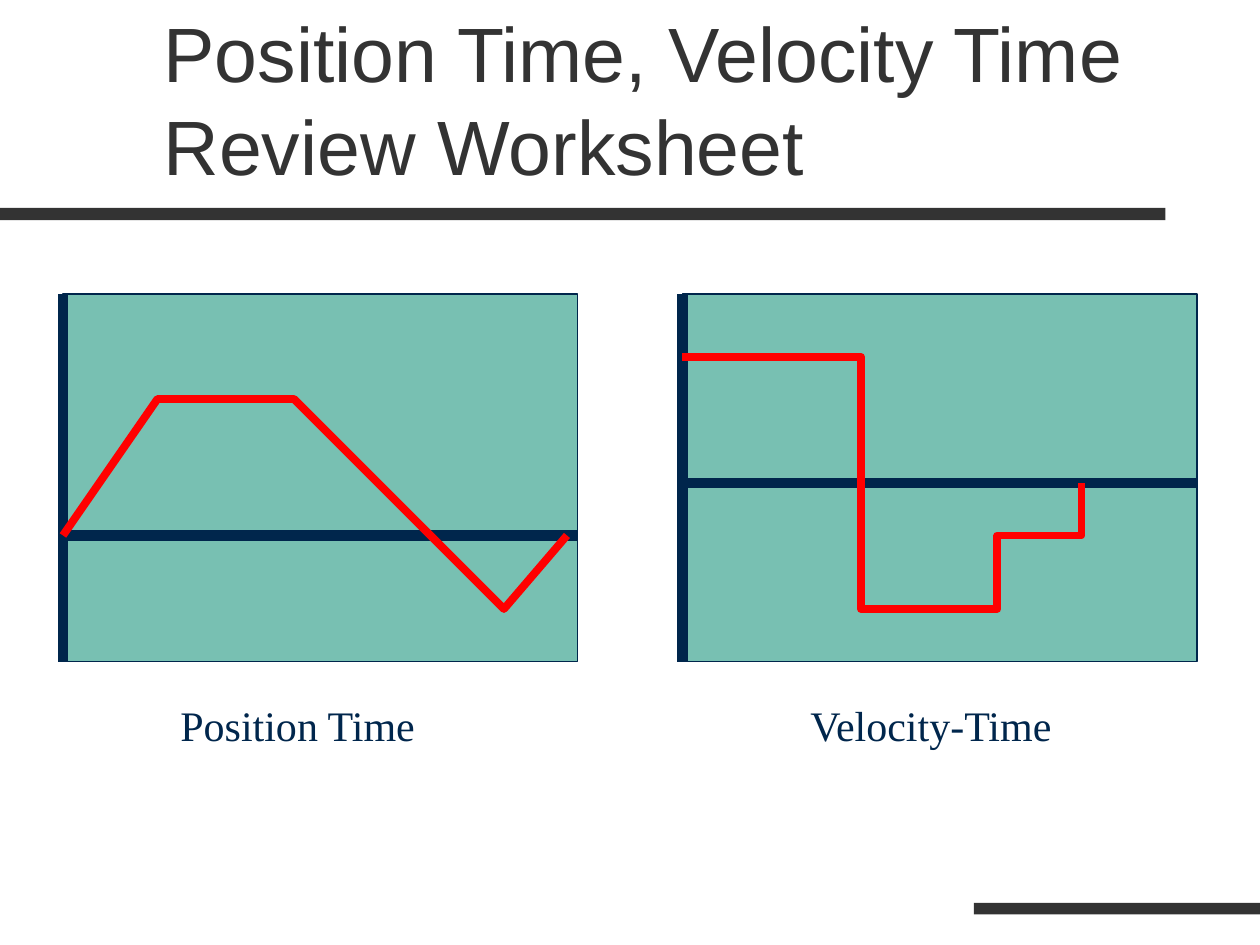
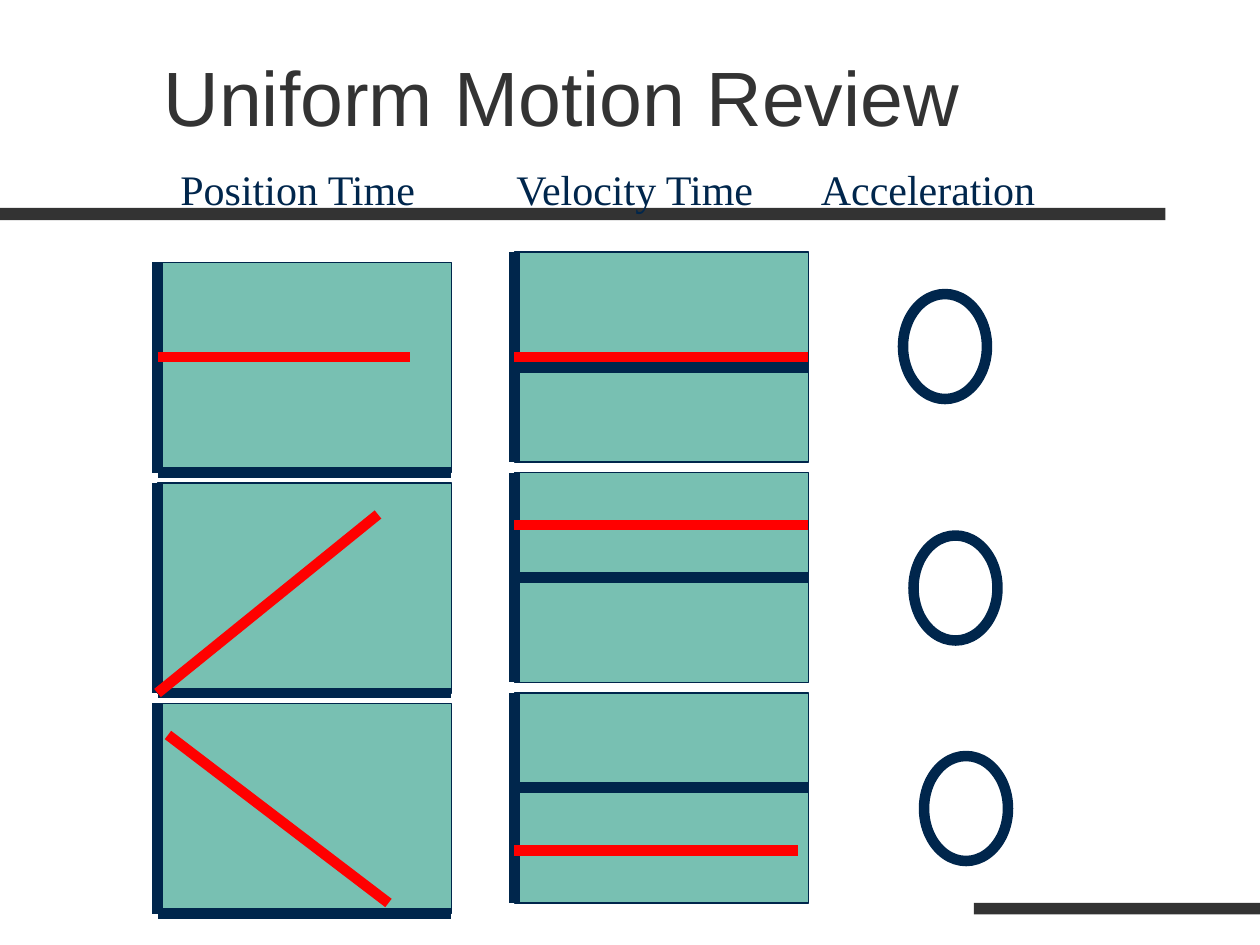
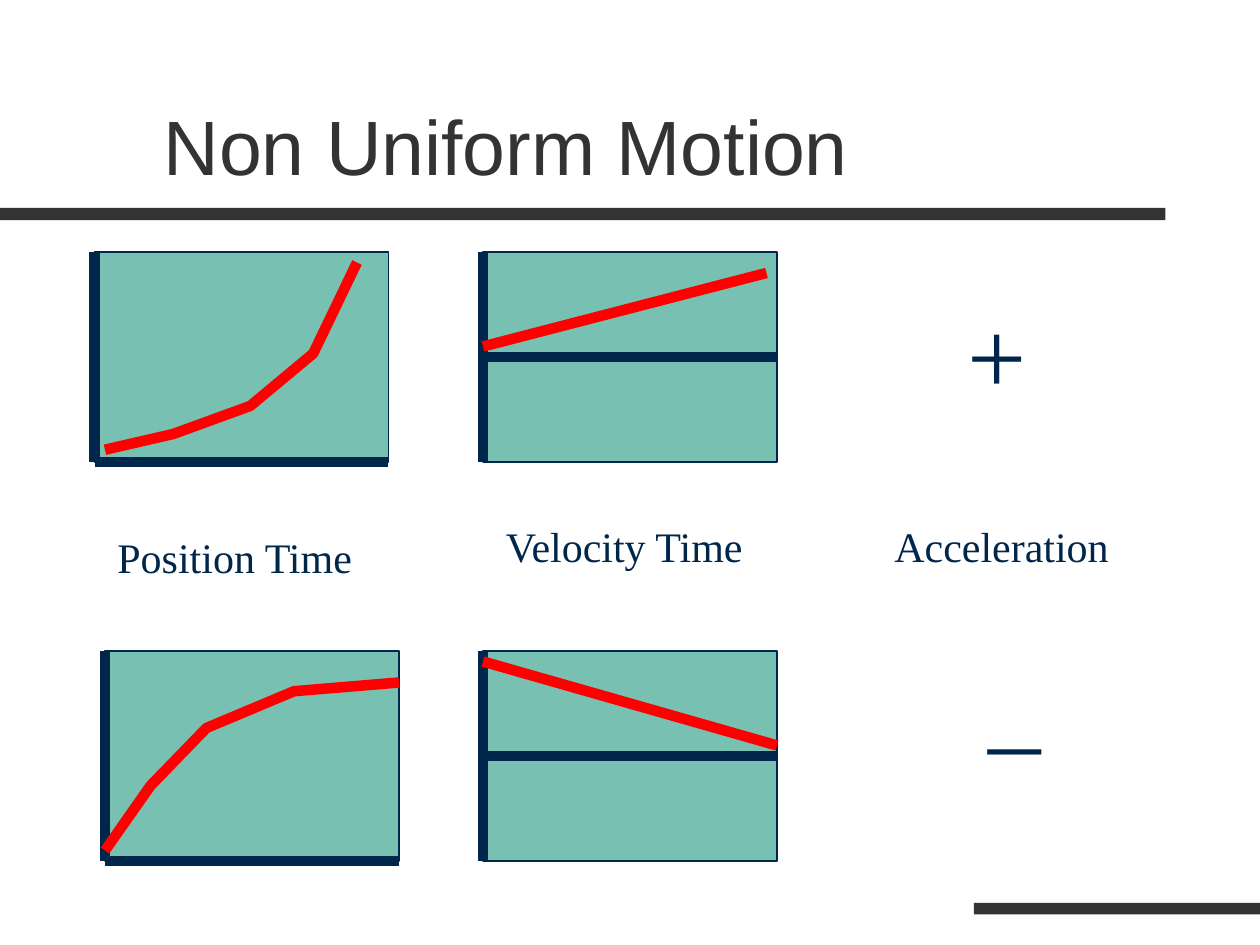
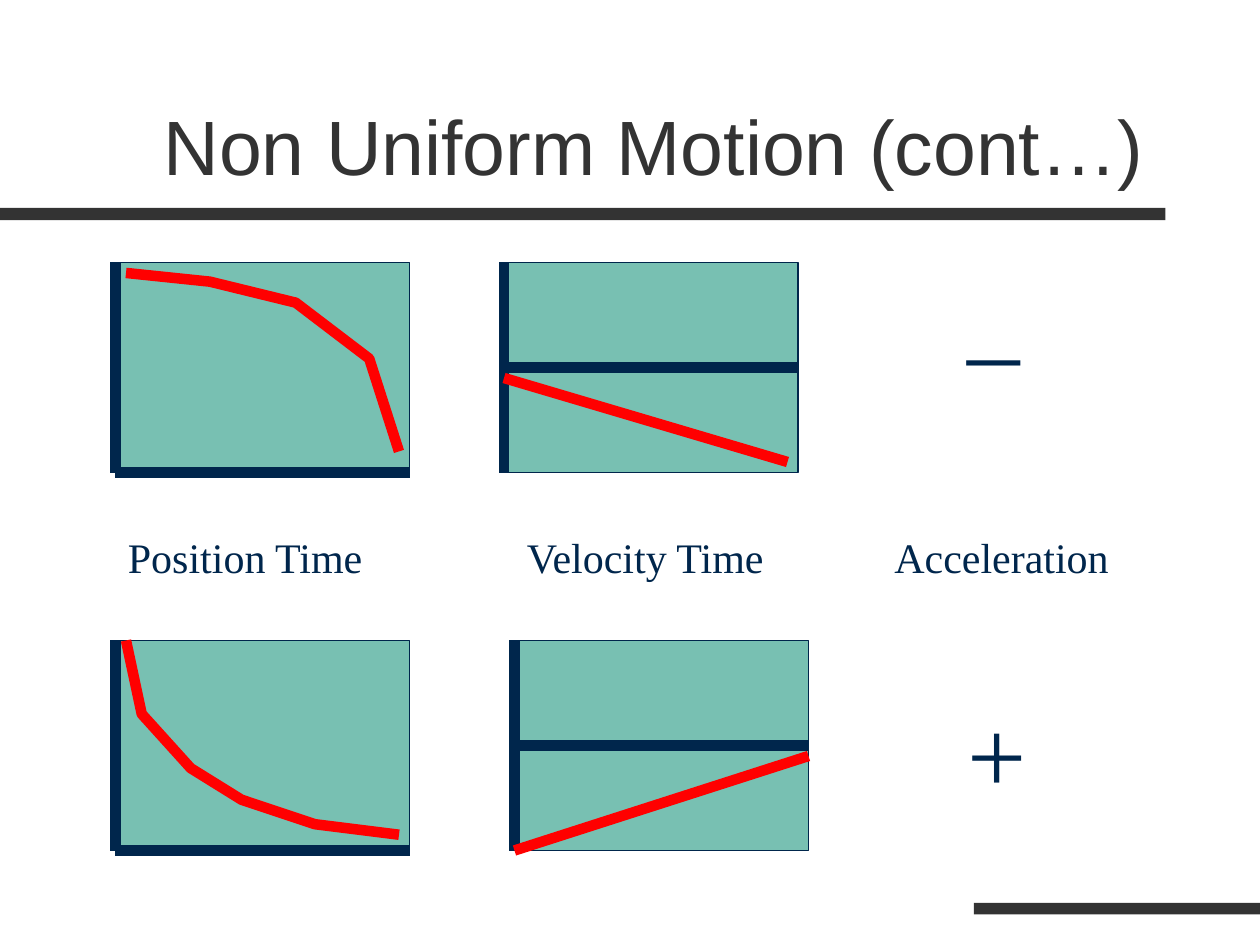
from lxml.etree import SubElement
from pptx import Presentation
from pptx.dml.color import RGBColor
from pptx.enum.shapes import MSO_CONNECTOR, MSO_SHAPE
from pptx.enum.text import MSO_ANCHOR
from pptx.oxml.ns import qn
from pptx.util import Pt

COLORS = {"band": "333333", "title": "333333", "ink": "00264C",
          "plot": "78C0B2", "curve": "FF0000"}
TITLE_FONT, LABEL_FONT = "Arial", "Times New Roman"
BANDS = [(0, 118.8, 666, 7), (556.5, 516, 163.5, 6.5)]
AXIS_WIDTH = 6
SMALL, LARGE = (168, 120), (294, 210)
ZERO_SIZE = (48, 60)
POSITION, VELOCITY, ACCELERATION = "Position Time", "Velocity Time", "Acceleration"

# graph: (left, top), height of the time axis below the top, curve points from the top left
# label: text, left, top, width; sign: text, left, top; zero: left, top
SLIDES = [
    {
        "title": "Position Time, Velocity Time Review Worksheet",
        "graph_size": LARGE,
        "curve_width": 4.5,
        "graphs": [
            ((36, 168), 138, [(0, 138), (54, 60), (132, 60), (252, 180), (288, 138)]),
            ((390, 168), 108, [(0, 36), (102, 36), (102, 180), (180, 180),
                               (180, 138), (228, 138), (228, 108)]),
        ],
        "labels": [(POSITION, 96, 396, 150), ("Velocity-Time", 456, 396, 162)],
    },
    {
        "title": "Uniform Motion Review",
        "title_height": 62,
        "graphs": [
            ((294, 144), 66, [(0, 60), (168, 60)]),
            ((294, 270), 60, [(0, 30), (168, 30)]),
            ((294, 396), 54, [(0, 90), (162, 90)]),
            ((90, 150), 120, [(0, 54), (144, 54)]),
            ((90, 276), 120, [(0, 120), (126, 18)]),
            ((90, 402), 120, [(6, 18), (132, 114)]),
        ],
        "labels": [(POSITION, 96, 90, 156), (VELOCITY, 288, 90, 156),
                   (ACCELERATION, 462, 90, 138)],
        "zeros": [(516, 168), (522, 306), (528, 432)],
    },
    {
        "title": "Non Uniform Motion",
        "graphs": [
            ((54, 144), 120, [(6, 113), (45, 104), (89, 88), (125, 58), (150, 6)]),
            ((276, 144), 60, [(0, 54), (162, 12)]),
            ((60, 372), 120, [(0, 114), (26, 77), (58, 44), (108, 23), (168, 18)]),
            ((276, 372), 60, [(0, 6), (168, 54)]),
        ],
        "labels": [(POSITION, 60, 300, 156), (VELOCITY, 282, 294, 156),
                   (ACCELERATION, 504, 294, 138)],
        "signs": [("+", 546, 162), ("_", 558, 360)],
    },
    {
        "title": "Non Uniform Motion (cont…)",
        "graphs": [
            ((66, 150), 120, [(6, 6), (54, 11), (103, 23), (145, 55), (162, 108)]),
            ((288, 150), 60, [(0, 66), (162, 114)]),
            ((66, 366), 120, [(6, 0), (15, 42), (43, 73), (72, 91), (114, 105), (162, 111)]),
            ((294, 366), 60, [(0, 120), (168, 66)]),
        ],
        "labels": [(POSITION, 66, 300, 156), (VELOCITY, 294, 300, 156),
                   (ACCELERATION, 504, 300, 138)],
        "signs": [("_", 546, 138), ("+", 546, 390)],
    },
]


def color(name):
    return RGBColor.from_string(COLORS[name])


def style_shape(shape, fill=None, line=None, line_width=0.75):
    shape.shadow.inherit = False
    if fill:
        shape.fill.solid()
        shape.fill.fore_color.rgb = color(fill)
    else:
        shape.fill.background()
    if line:
        shape.line.color.rgb = color(line)
        shape.line.width = Pt(line_width)
    else:
        shape.line.fill.background()


def add_preset(shapes, kind, left, top, width, height, **style):
    shape = shapes.add_shape(kind, Pt(left), Pt(top), Pt(width), Pt(height))
    style_shape(shape, **style)


def add_line(shapes, start, end, line, line_width):
    connector = shapes.add_connector(MSO_CONNECTOR.STRAIGHT, *map(Pt, start + end))
    connector.line.color.rgb = color(line)
    connector.line.width = Pt(line_width)
    SubElement(connector.element.spPr, qn("a:effectLst"))


def add_text(page, text, left, top, width, height, size,
             font=LABEL_FONT, ink="ink", anchor=MSO_ANCHOR.TOP):
    box = page.shapes.add_textbox(Pt(left), Pt(top), Pt(width), Pt(height))
    frame = box.text_frame
    frame.word_wrap = True
    frame.vertical_anchor = anchor
    para = frame.paragraphs[0]
    para.text = text
    para.font.name = font
    para.font.size = Pt(size)
    para.font.color.rgb = color(ink)


def add_graph(page, origin, size, axis, curve, curve_width):
    """Group a plot area, its two axes and its curve."""
    left, top = origin
    width, height = size
    shapes = page.shapes.add_group_shape().shapes
    add_preset(shapes, MSO_SHAPE.RECTANGLE, left, top, width, height,
               fill="plot", line="ink")
    add_line(shapes, (left, top + axis), (left + width, top + axis), "ink", AXIS_WIDTH)
    add_line(shapes, (left, top), (left, top + height), "ink", AXIS_WIDTH)
    points = [(left + x, top + y) for x, y in curve]
    if len(points) == 2:
        add_line(shapes, *points, "curve", curve_width)
    else:
        builder = shapes.build_freeform(*points[0], scale=Pt(1))
        builder.add_line_segments(points[1:], close=False)
        style_shape(builder.convert_to_shape(), line="curve", line_width=curve_width)


def add_page(deck, content):
    page = deck.slides.add_slide(deck.slide_layouts[6])
    for band in BANDS:
        add_preset(page.shapes, MSO_SHAPE.RECTANGLE, *band, fill="band")
    add_text(page, content["title"], 86.4, 22.4, 612, content.get("title_height", 90), 44,
             TITLE_FONT, "title", MSO_ANCHOR.BOTTOM)
    for origin, axis, curve in content["graphs"]:
        add_graph(page, origin, content.get("graph_size", SMALL), axis, curve,
                  content.get("curve_width", 6))
    for text, left, top, width in content["labels"]:
        add_text(page, text, left, top, width, 36, 24)
    for text, left, top in content.get("signs", []):
        add_text(page, text, left, top, 48, 79, 60)
    for left, top in content.get("zeros", []):
        add_preset(page.shapes, MSO_SHAPE.OVAL, left, top, *ZERO_SIZE,
                   line="ink", line_width=AXIS_WIDTH)


def main():
    deck = Presentation()
    deck.slide_width, deck.slide_height = Pt(720), Pt(540)
    for content in SLIDES:
        add_page(deck, content)
    deck.save("out.pptx")


if __name__ == "__main__":
    main()
